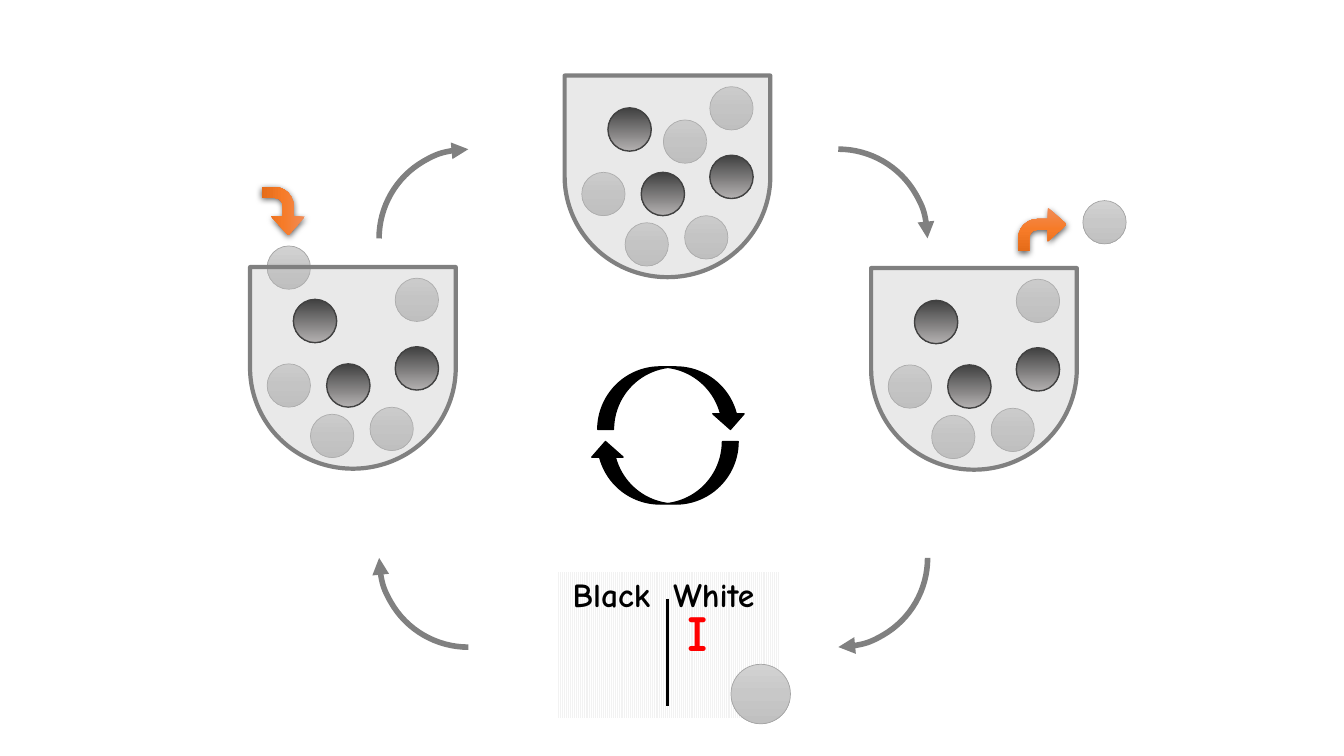
"""Draw a cycle of ball draws from an urn, with a tally of the colours."""
from typing import NamedTuple, Optional

from lxml.etree import SubElement
from pptx import Presentation
from pptx.dml.color import RGBColor
from pptx.dml.fill import FillFormat
from pptx.enum.dml import MSO_PATTERN_TYPE as Pattern
from pptx.enum.shapes import MSO_CONNECTOR as Link, MSO_SHAPE as Kind
from pptx.enum.text import MSO_AUTO_SIZE as Fit
from pptx.oxml.ns import qn
from pptx.shapes.autoshape import Shape
from pptx.shapes.shapetree import GroupShapes
from pptx.util import Pt

SCALE = 9144
FONT = "Comic Neue"
BLACK, GREY, RED = "000000", "808080", "FF0000"
BALL = 43
Stops = tuple[tuple[int, str], ...]


class Box(NamedTuple):
    """A frame in px."""
    left: int
    top: int
    wide: int
    high: int


class Skin(NamedTuple):
    """The look of a ball."""
    stops: Stops
    edge: str
    width: float


class Spot(NamedTuple):
    """A ball placed relative to its urn."""
    left: int
    top: int
    skin: Skin


class Urn(NamedTuple):
    """An urn with one roaming ball and perhaps a move arrow."""
    left: int
    top: int
    extra: Spot
    arrow: Optional[Box] = None
    turn: int = 0


class Arc(NamedTuple):
    """A curved step from one stage to the next."""
    left: int
    top: int
    turn: int


class Label(NamedTuple):
    """A word box of the tally."""
    text: str
    box: Box
    size: int
    hue: str


DARK = Skin(((1, BLACK), (100, "AFABAB")), BLACK, 1)
PALE = Skin(((0, "D2D2D2"), (50, "C8C8C8"), (100, "C0C0C0")), "A5A5A5", 0.5)
ORANGE: Stops = ((0, "F18C57"), (50, "F67B28"), (100, "E56C19"))
SPOTS = (
    Spot(41, 34, DARK), Spot(142, 81, DARK), Spot(117, 141, PALE),
    Spot(74, 98, DARK), Spot(15, 98, PALE), Spot(142, 13, PALE),
    Spot(58, 148, PALE),
)
URNS = (
    Urn(562, 73, Spot(96, 46, PALE)),
    Urn(866, 264, Spot(208, -65, PALE), Box(1010, 206, 48, 43)),
    Urn(250, 263, Spot(15, -19, PALE), Box(257, 188, 48, 43), 90),
)
ARCS = (Arc(743, 148, 0), Arc(743, 465, 90), Arc(376, 465, 180), Arc(376, 148, 270))
LABELS = (
    Label("Black\tWhite", Box(558, 564, 205, 50), 24, BLACK),
    Label("I", Box(672, 591, 34, 71), 36, RED),
)


def px(count: int) -> int:
    """Turn px into EMU."""
    return count * SCALE


def tint(code: str) -> RGBColor:
    """Turn a hex string into a colour."""
    return RGBColor.from_string(code)


def paint(fill: FillFormat, code: str) -> None:
    """Fill with one colour."""
    fill.solid()
    fill.fore_color.rgb = tint(code)


def blend(shape: Shape, stops: Stops) -> None:
    """Fill with a gradient running downwards."""
    shape.fill.gradient()
    shape.fill.gradient_angle = 270
    ramp = shape._element.spPr.find(qn("a:gradFill")).find(qn("a:gsLst"))
    for old in list(ramp):
        ramp.remove(old)
    for place, code in stops:
        stop = SubElement(ramp, qn("a:gs"), pos=str(place * 1000))
        SubElement(stop, qn("a:srgbClr"), val=code)


def add(tree: GroupShapes, kind: Kind, box: Box, edge: str = "",
        width: float = 1, turn: int = 0) -> Shape:
    """Add a plain shape with an optional edge."""
    shape = tree.add_shape(kind, *map(px, box))
    shape.shadow.inherit = False
    shape.rotation = turn
    if edge:
        paint(shape.line.fill, edge)
        shape.line.width = Pt(width)
    else:
        shape.line.fill.background()
    return shape


def add_ball(tree: GroupShapes, left: int, top: int, skin: Skin, size: int = BALL) -> None:
    """Add a shaded ball."""
    ball = add(tree, Kind.OVAL, Box(left, top, size, size), skin.edge, skin.width)
    blend(ball, skin.stops)


def add_move(tree: GroupShapes, box: Box, turn: int) -> None:
    """Add an orange arrow with a soft shadow."""
    arrow = add(tree, Kind.BENT_ARROW, box, turn=turn)
    for place, value in enumerate((0.25, 0.387, 0.432, 0.438)):
        arrow.adjustments[place] = value
    blend(arrow, ORANGE)
    glow = SubElement(arrow._element.spPr.find(qn("a:effectLst")), qn("a:outerShdw"),
                      blurRad=str(Pt(4.5)), dist=str(Pt(1.5)), dir="5400000",
                      algn="ctr", rotWithShape="0")
    shade = SubElement(glow, qn("a:srgbClr"), val=BLACK)
    SubElement(shade, qn("a:alpha"), val="63000")


def add_urn(tree: GroupShapes, urn: Urn) -> None:
    """Add an urn, its balls and its move arrow."""
    for spot in (*SPOTS, urn.extra):
        add_ball(tree, urn.left + spot.left, urn.top + spot.top, spot.skin)
    glass = add(tree, Kind.FLOWCHART_DELAY, Box(urn.left, urn.top, 200, 204), GREY, 3, 90)
    paint(glass.fill, "BFBFBF")
    hue = glass._element.spPr.find(qn("a:solidFill"))[0]
    SubElement(hue, qn("a:alpha"), val="34000")
    if urn.arrow:
        add_move(tree, urn.arrow, urn.turn)


def add_label(tree: GroupShapes, label: Label) -> None:
    """Add a bold word box."""
    frame = tree.add_textbox(*map(px, label.box)).text_frame
    frame.word_wrap = False
    frame.auto_size = Fit.SHAPE_TO_FIT_TEXT
    frame.text = label.text
    font = frame.paragraphs[0].runs[0].font
    font.name, font.size, font.bold = FONT, Pt(label.size), True
    font.color.rgb = tint(label.hue)


def add_tally(tree: GroupShapes) -> None:
    """Add the tally sheet with its drawn ball."""
    sheet = add(tree, Kind.RECTANGLE, Box(552, 568, 221, 144))
    sheet.fill.patterned()
    sheet.fill.pattern = Pattern.NARROW_VERTICAL
    sheet.fill.fore_color.rgb = tint("F2F2F2")
    sheet.fill.back_color.rgb = tint("FFFFFF")
    rule = tree.add_connector(Link.STRAIGHT, px(662), px(594), px(662), px(700))
    paint(rule.line.fill, BLACK)
    rule.line.width = Pt(2.5)
    SubElement(rule._element.spPr, qn("a:effectLst"))
    for label in LABELS:
        add_label(tree, label)
    add_ball(tree, 725, 659, PALE, 59)


def add_loop(tree: GroupShapes) -> None:
    """Add the two black arrows that chase each other."""
    for left, top, turn in ((593, 364, 0), (585, 438, 180)):
        arrow = add(tree, Kind.CURVED_UP_ARROW, Box(left, top, 147, 62), BLACK, 1, turn)
        arrow._element.spPr.find(qn("a:xfrm")).set("flipV", "1")
        paint(arrow.fill, BLACK)


def add_arc(tree: GroupShapes, arc: Arc) -> None:
    """Add a grey arc with an arrowhead."""
    curve = add(tree, Kind.ARC, Box(arc.left, arc.top, 177, 177), GREY, 4, arc.turn)
    curve.fill.background()
    SubElement(curve._element.spPr.find(qn("a:ln")), qn("a:tailEnd"), type="triangle")


def main() -> None:
    """Build and save the slide."""
    deck = Presentation()
    deck.slide_width, deck.slide_height = px(1333), px(750)
    shapes = deck.slides.add_slide(deck.slide_layouts[6]).shapes
    for urn in URNS:
        add_urn(shapes.add_group_shape().shapes, urn)
    add_tally(shapes.add_group_shape().shapes)
    add_loop(shapes.add_group_shape().shapes)
    for arc in ARCS:
        add_arc(shapes, arc)
    deck.save("out.pptx")


if __name__ == "__main__":
    main()
